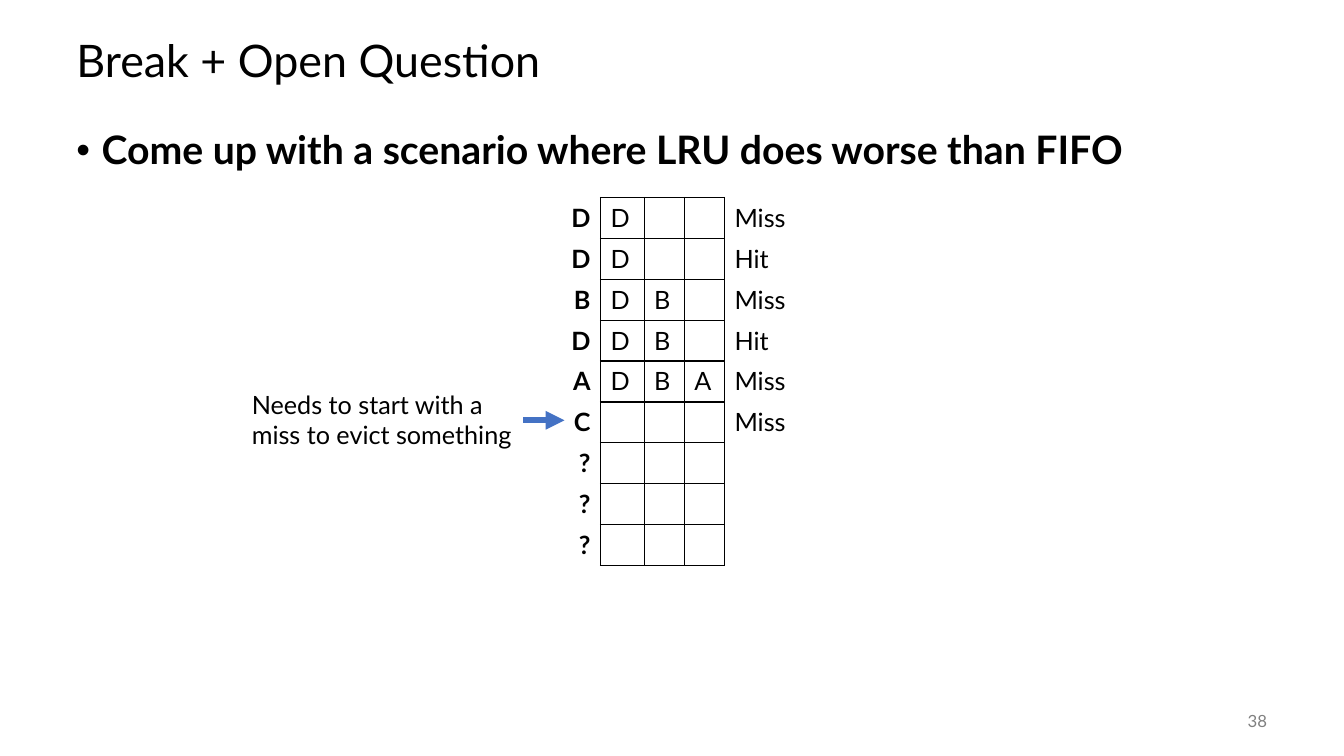
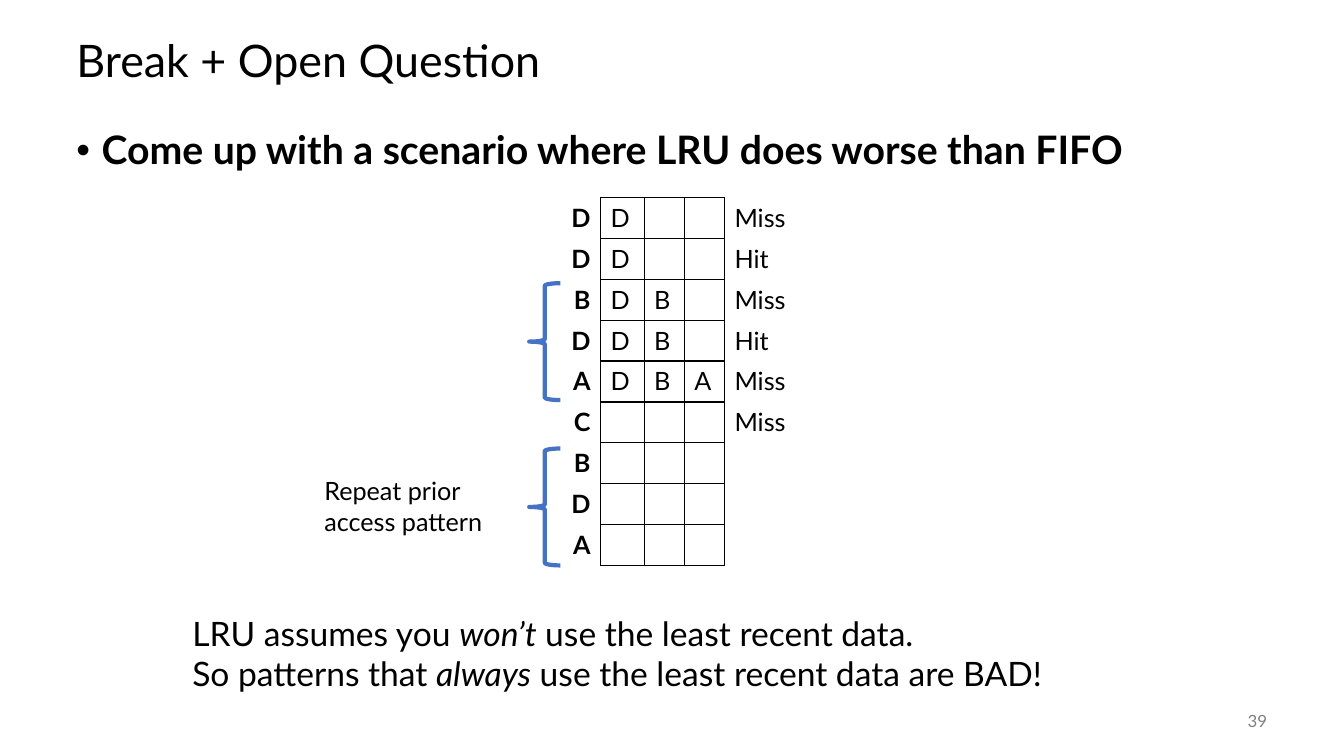
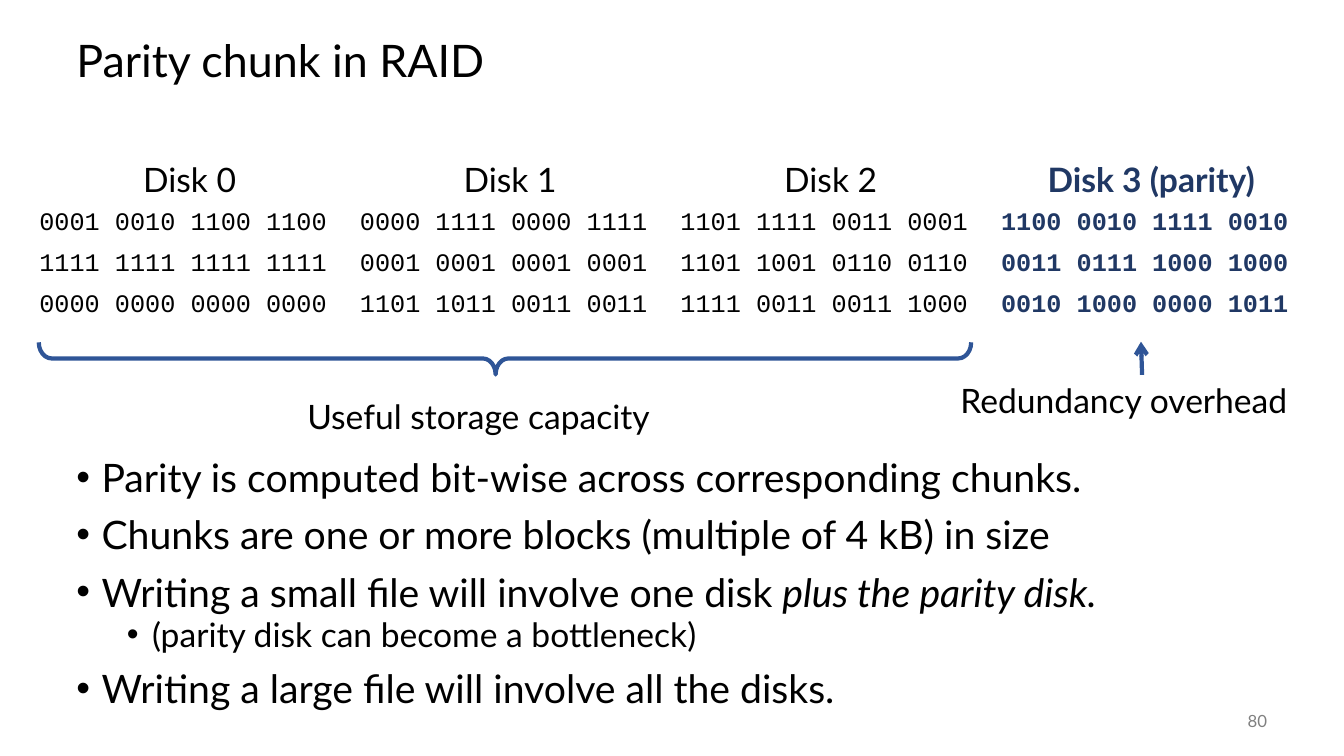
import pptx
import pptx.dml.color
import pptx.enum.dml
import pptx.enum.shapes
import pptx.enum.text
import pptx.oxml
import pptx.oxml.ns
import pptx.util
import lxml.etree

Pt = pptx.util.Pt
ALIGN = pptx.enum.text.PP_ALIGN
ANCHOR = pptx.enum.text.MSO_ANCHOR
SHAPE = pptx.enum.shapes.MSO_SHAPE

BLACK, GRAY, BLUE = "000000", "808080", "4472C4"
NAVY, DEEP_BLUE = "203864", "2F5597"

BASE = {"name": "Lato", "size": Pt(18), "bold": False, "italic": False}
TITLE = {"size": Pt(32)}
BODY = {"size": Pt(28)}
LARGE = {"size": Pt(24)}
NUMBER = {"size": Pt(12)}
BOLD = {"bold": True}
ITALIC = {"italic": True}
CODE = {"name": "Courier New"}

TITLE_BOX = (47.5, 18, 864, 54)
NUMBER_BOX = (840.2, 500.4, 72, 28.8)
QUESTION_BOX = (47.5, 90, 864, 396)
CACHE_BOX = (388.8, 141.1, 200.9, 262.8)
DISKS_BOX = (20.9, 110.2, 916, 123.8)

CACHE_WIDTHS = (0.2, 0.155, 0.143, 0.143, 0.359)
ACCESSES = "DDBDAC"
CONTENTS = ("D", "D", "DB", "DB", "DBA", "", "", "", "")
RESULTS = ("Miss", "Hit", "Miss", "Hit", "Miss", "Miss", "", "", "")
DISKS = (
    ("Disk 0", "Disk 1", "Disk 2", "Disk 3 (parity)"),
    ("0001 0010 1100 1100", "0000 1111 0000 1111", "1101 1111 0011 0001", "1100 0010 1111 0010"),
    ("1111 1111 1111 1111", "0001 0001 0001 0001", "1101 1001 0110 0110", "0011 0111 1000 1000"),
    ("0000 0000 0000 0000", "1101 1011 0011 0011", "1111 0011 0011 1000", "0010 1000 0000 1011"),
)


def paint(color_format, color):
    color_format.rgb = pptx.dml.color.RGBColor.from_string(color)


def points(box):
    return [Pt(value) for value in box]


def set_values(target, values):
    for name, value in values.items():
        setattr(target, name, value)


def write_spans(para, spans, style, color=BLACK):
    for text, change in spans:
        lines = text.split("\n")
        for index, line in enumerate(lines):
            if index:
                para.add_line_break()
            span = para.add_run()
            span.text = line
            set_values(span.font, {**BASE, **style, **change})
            paint(span.font.color, color)


def add_text(page, box, spans, style, color=BLACK, frame_values=None, para_values=None):
    frame = page.shapes.add_textbox(*points(box)).text_frame
    set_values(frame, {"word_wrap": True, **(frame_values or {})})
    para = frame.paragraphs[0]
    set_values(para, para_values or {})
    write_spans(para, spans, style, color)


def add_bullets(page, box, items, spacing):
    frame = page.shapes.add_textbox(*points(box)).text_frame
    frame.word_wrap = True
    for index, (level, spans, change) in enumerate(items):
        para = frame.add_paragraph() if index else frame.paragraphs[0]
        properties = para._p.get_or_add_pPr()
        properties.set("marL", str(Pt(18 + 36 * level)))
        properties.set("indent", str(Pt(-18)))
        for tag, key, value in (("a:buFont", "typeface", "Arial"), ("a:buChar", "char", "•")):
            bullet = lxml.etree.SubElement(properties, pptx.oxml.ns.qn(tag))
            bullet.set(key, value)
        before = (14, 5)[level] if index else 0
        set_values(para, {"level": level, "line_spacing": spacing, "space_before": Pt(before)})
        write_spans(para, spans, {**(LARGE if level else BODY), **change})


def add_brace(page, box, color, rotation=0, adjustments=()):
    brace = page.shapes.add_shape(SHAPE.LEFT_BRACE, *points(box))
    brace.shadow.inherit = False
    brace.fill.background()
    set_values(brace, {"rotation": rotation})
    brace.line.width = Pt(3)
    paint(brace.line.color, color)
    for index, value in enumerate(adjustments):
        brace.adjustments[index] = value


def add_arrow(page, ends, color, width, head):
    arrow = page.shapes.add_connector(pptx.enum.shapes.MSO_CONNECTOR.STRAIGHT, *points(ends))
    arrow.line.width = Pt(width)
    paint(arrow.line.color, color)
    line = arrow.line._get_or_add_ln()
    lxml.etree.SubElement(line, pptx.oxml.ns.qn("a:tailEnd")).set("type", head)
    lxml.etree.SubElement(arrow._element.spPr, pptx.oxml.ns.qn("a:effectLst"))


def set_borders(cell, sides):
    properties = cell._tc.get_or_add_tcPr()
    for side in "LRTB":
        border = lxml.etree.SubElement(properties, pptx.oxml.ns.qn("a:ln" + side))
        border.set("w", str(Pt(1)))
        if side in sides:
            fill = lxml.etree.SubElement(border, pptx.oxml.ns.qn("a:solidFill"))
            lxml.etree.SubElement(fill, pptx.oxml.ns.qn("a:srgbClr")).set("val", BLACK)
        else:
            lxml.etree.SubElement(border, pptx.oxml.ns.qn("a:noFill"))


def add_grid(page, box, rows, widths, heights, cell_format):
    table = page.shapes.add_table(len(rows), len(widths), *points(box)).table
    set_values(table, {"first_row": False, "horz_banding": False})
    for column, share in zip(table.columns, widths):
        column.width = Pt(round(box[2] * share, 1))
    for row, height in zip(table.rows, heights):
        row.height = Pt(height)
    for row_index, texts in enumerate(rows):
        for column_index, text in enumerate(texts):
            cell = table.cell(row_index, column_index)
            style, color, align, sides = cell_format(row_index, column_index)
            set_borders(cell, sides)
            cell.fill.background()
            para = cell.text_frame.paragraphs[0]
            para.alignment = align
            if text:
                write_spans(para, [(text, {})], style, color)


def add_cache(page, box, last_accesses):
    rows = [
        (access, *content.ljust(3).replace(" ", "-"), result)
        for access, content, result in zip(ACCESSES + last_accesses, CONTENTS, RESULTS)
    ]
    rows = [[text.replace("-", "") for text in row] for row in rows]

    def cell_format(row, column):
        if column == 0:
            return BOLD, BLACK, ALIGN.RIGHT, "R"
        return {}, BLACK, ALIGN.LEFT, "L" if column == 4 else "LRTB"

    add_grid(page, box, rows, CACHE_WIDTHS, [box[3] / len(rows)] * len(rows), cell_format)


def add_disks(page, box):
    def cell_format(row, column):
        parity = column == 3
        style = {**(CODE if row else LARGE), "bold": parity}
        return style, NAVY if parity else BLACK, ALIGN.LEFT if row else ALIGN.CENTER, ""

    add_grid(page, box, DISKS, [0.25] * 4, (36, 29.2, 29.2, 29.2), cell_format)


def add_page(deck, title, number):
    page = deck.slides.add_slide(deck.slide_layouts[6])
    middle = {"vertical_anchor": ANCHOR.MIDDLE}
    add_text(page, TITLE_BOX, [(title, {})], TITLE, BLACK, middle, {"line_spacing": 0.9})
    add_text(page, NUMBER_BOX, [(number, {})], NUMBER, GRAY, middle, {"alignment": ALIGN.RIGHT})
    return page


def add_question_page(deck, number, last_accesses):
    page = add_page(deck, "Break + Open Question", number)
    question = "Come up with a scenario where LRU does worse than FIFO"
    add_bullets(page, QUESTION_BOX, [(0, [(question, {})], BOLD)], 0.9)
    add_cache(page, CACHE_BOX, last_accesses)
    return page


def add_eviction_page(deck):
    page = add_question_page(deck, "38", "???")
    add_text(page, (172.8, 274.3, 216, 51.1),
             [("Needs to start with a miss to evict something", {})], {})
    add_arrow(page, (373.7, 300.2, 403.2, 300.2), BLUE, 4.5, "triangle")


def add_pattern_page(deck):
    page = add_question_page(deck, "39", "BDA")
    for top in (202.3, 320.4):
        add_brace(page, (378, top, 22.3, 83.5), BLUE)
    add_text(page, (224.6, 336.2, 136.8, 51.1), [("Repeat prior access pattern", {})], {})
    add_text(page, (130.3, 434.2, 680.4, 65.5), [
        ("LRU assumes you ", {}),
        ("won’t", ITALIC),
        (" use the least recent data.\nSo patterns that ", {}),
        ("always", ITALIC),
        (" use the least recent data are BAD!", {}),
    ], LARGE)


def add_parity_page(deck):
    page = add_page(deck, "Parity chunk in RAID", "80")
    add_disks(page, DISKS_BOX)
    add_brace(page, (349.2, -77, 23, 666), DEEP_BLUE, 270, (0.4, 0.49))
    add_arrow(page, (815.8, 267.8, 815, 244.1), DEEP_BLUE, 3, "arrow")
    add_text(page, (212.4, 279.4, 267.8, 36), [("Useful storage capacity", {})], LARGE)
    add_text(page, (658.8, 267.8, 267.8, 36), [("Redundancy overhead", {})], LARGE,
             para_values={"alignment": ALIGN.RIGHT})
    add_bullets(page, (47.5, 326.9, 889.2, 196.6), [
        (0, [("Parity is computed bit-wise across corresponding chunks.", {})], {}),
        (0, [("Chunks are one or more blocks (multiple of 4 kB) in size", {})], {}),
        (0, [("Writing a small file will involve one disk ", {}),
             ("plus the parity disk.", ITALIC)], {}),
        (1, [("(parity disk can become a bottleneck)", {})], {}),
        (0, [("Writing a large file will involve all the disks.", {})], {}),
    ], 0.8)


def main():
    deck = pptx.Presentation()
    set_values(deck, {"slide_width": Pt(960), "slide_height": Pt(540)})
    add_eviction_page(deck)
    add_pattern_page(deck)
    add_parity_page(deck)
    deck.save("out.pptx")


if __name__ == "__main__":
    main()
